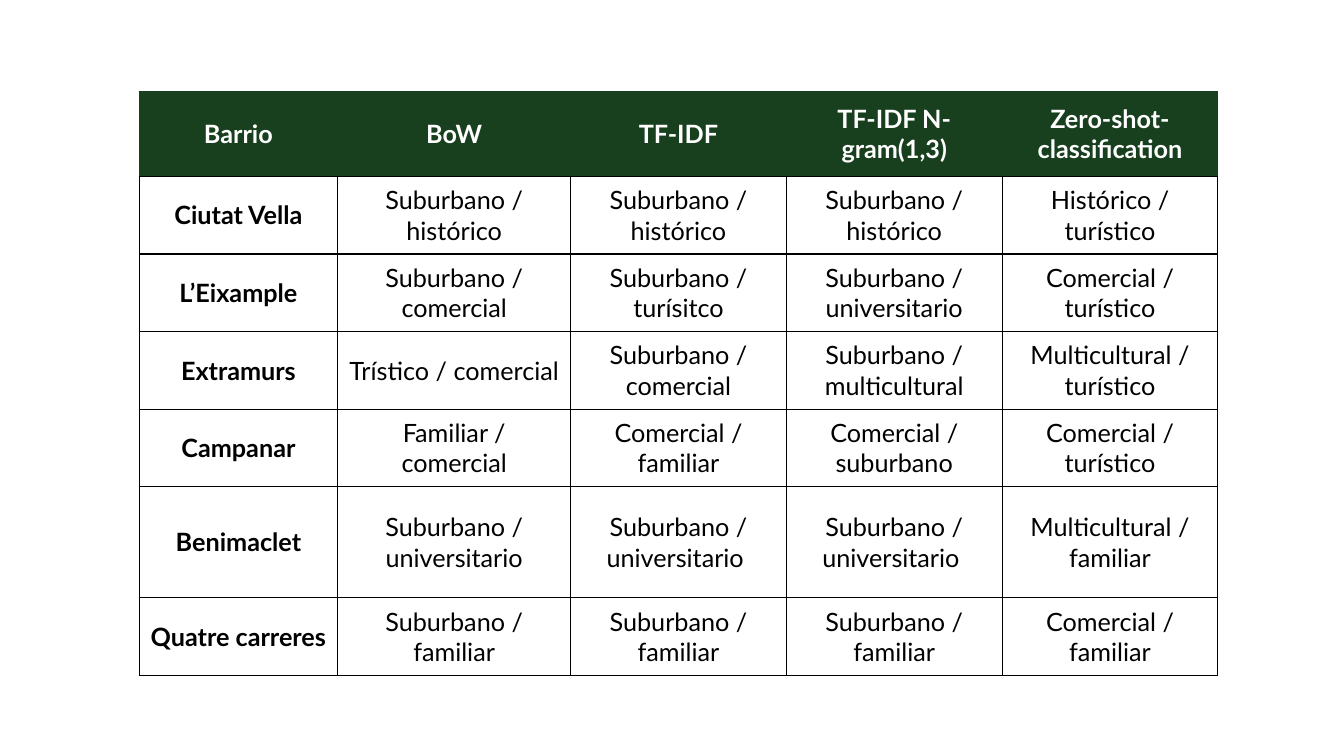
from lxml.etree import SubElement
from pptx import Presentation
from pptx.dml.color import RGBColor
from pptx.enum.text import MSO_ANCHOR, PP_ALIGN
from pptx.oxml.ns import qn
from pptx.util import Inches, Pt

GREEN, BLACK, WHITE = "183F1E", "000000", "FFFFFF"


def color(hex_value):
    return RGBColor.from_string(hex_value)


def add_border(cell, side, hex_value):
    properties = cell._tc.get_or_add_tcPr()
    line = SubElement(properties, qn(f"a:ln{side}"), w=str(Pt(1)))
    fill = SubElement(line, qn("a:solidFill"))
    SubElement(fill, qn("a:srgbClr"), val=hex_value)


# Blank slide
presentation = Presentation()
presentation.slide_width = Inches(13.33)
presentation.slide_height = Inches(7.5)
slide = presentation.slides.add_slide(presentation.slide_layouts[6])

# Neighbourhood labels found by each method
rows = [
    ["Barrio", "BoW", "TF-IDF", "TF-IDF N-gram(1,3)", "Zero-shot-classification"],
    ["Ciutat Vella", "Suburbano / histórico", "Suburbano / histórico",
     "Suburbano / histórico", "Histórico / turístico"],
    ["L’Eixample", "Suburbano / comercial", "Suburbano / turísitco",
     "Suburbano / universitario", "Comercial / turístico"],
    ["Extramurs", "Trístico / comercial", "Suburbano / comercial",
     "Suburbano / multicultural", "Multicultural / turístico"],
    ["Campanar", "Familiar / comercial", "Comercial / familiar",
     "Comercial / suburbano", "Comercial / turístico"],
    ["Benimaclet", "Suburbano / universitario", "Suburbano / universitario ",
     "Suburbano / universitario ", "Multicultural / familiar"],
    ["Quatre carreres", "Suburbano / familiar", "Suburbano / familiar",
     "Suburbano / familiar", "Comercial / familiar"],
]
column_widths = [1.97, 2.31] + [2.14] * 3
row_heights = [0.84] + [0.77] * 4 + [1.1, 0.77]

# Table grid
table = slide.shapes.add_table(
    len(rows), len(column_widths), Inches(1.38), Inches(0.91),
    Inches(sum(column_widths)), Inches(sum(row_heights))).table
for column, width in zip(table.columns, column_widths):
    column.width = Inches(width)
for row, height in zip(table.rows, row_heights):
    row.height = Inches(height)

# Cells: green header, bold first column, black rules
for row_index, row_texts in enumerate(rows):
    is_header = row_index == 0
    for column_index, text in enumerate(row_texts):
        cell = table.cell(row_index, column_index)
        cell.vertical_anchor = MSO_ANCHOR.MIDDLE
        for side in "LRTB":
            add_border(cell, side, GREEN if is_header and side != "B" else BLACK)
        if is_header:
            cell.fill.solid()
            cell.fill.fore_color.rgb = color(GREEN)
        else:
            cell.fill.background()
        paragraph = cell.text_frame.paragraphs[0]
        paragraph.alignment = PP_ALIGN.CENTER
        run = paragraph.add_run()
        run.text = text
        run.font.name = "Lato"
        run.font.size = Pt(18)
        run.font.bold = is_header or column_index == 0
        run.font.color.rgb = color(WHITE if is_header else BLACK)

presentation.save("out.pptx")
